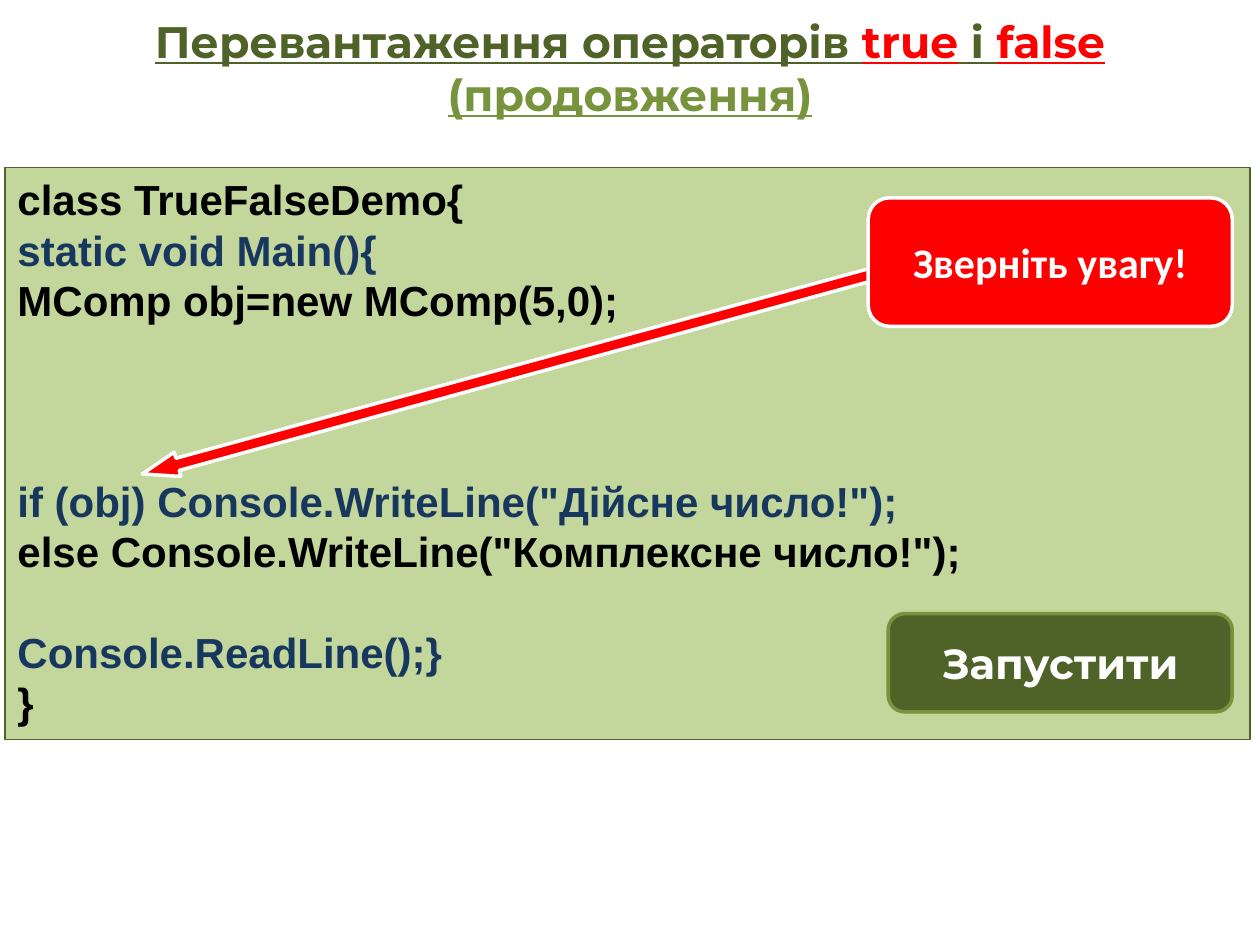
from dataclasses import dataclass

from pptx import Presentation
from pptx.dml.color import RGBColor
from pptx.enum.shapes import MSO_SHAPE
from pptx.enum.text import MSO_ANCHOR, PP_ALIGN
from pptx.util import Inches, Pt

RECTANGLE, ROUNDED = MSO_SHAPE.RECTANGLE, MSO_SHAPE.ROUNDED_RECTANGLE
LEFT_ARROW = MSO_SHAPE.LEFT_ARROW
TOP, MIDDLE = MSO_ANCHOR.TOP, MSO_ANCHOR.MIDDLE
LEFT, CENTER = PP_ALIGN.LEFT, PP_ALIGN.CENTER


@dataclass(frozen=True)
class Theme:
    dark_green: str = "4F6228"
    green: str = "77933C"
    pale_green: str = "C3D69B"
    red: str = "FF0000"
    white: str = "FFFFFF"
    black: str = "000000"
    navy: str = "17375E"
    heading_font: str = "Montserrat"
    code_font: str = "Arial"
    note_font: str = "Calibri"
    title_size: float = 25.2
    body_size: float = 24
    line_step: float = 28.7
    thin: float = 0.75
    thick: float = 2


theme = Theme()
deck = Presentation()
deck.slide_width, deck.slide_height = Inches(10), Inches(7.5)
page = deck.slides.add_slide(deck.slide_layouts[6])
# The grid has 100 columns and 75 rows of equal size
unit = deck.slide_width / 100


def add_block(kind, place, fill, line, weight):
    """Add a filled, outlined shape placed in grid units."""
    box = page.shapes.add_shape(kind, *(round(n * unit) for n in place))
    box.shadow.inherit = False
    box.fill.solid()
    box.fill.fore_color.rgb = RGBColor.from_string(fill)
    box.line.color.rgb = RGBColor.from_string(line)
    box.line.width = Pt(weight)
    return box


def add_span(para, text, font, size, color, underline=False):
    span = para.add_run()
    span.text = text
    span.font.name, span.font.size = font, Pt(size)
    span.font.bold, span.font.underline = True, underline
    span.font.color.rgb = RGBColor.from_string(color)


# Title
title = page.shapes.add_textbox(0, round(0.75 * unit), deck.slide_width, round(9.2 * unit))
title.text_frame.word_wrap = True
title.text_frame.vertical_anchor = MIDDLE
para = title.text_frame.paragraphs[0]
para.alignment = CENTER
for text, color in (
    ("Перевантаження операторів ", theme.dark_green),
    ("true", theme.red),
    (" і ", theme.dark_green),
    ("false ", theme.red),
    ("(продовження)", theme.green),
):
    add_span(para, text, theme.heading_font, theme.title_size, color, True)

# Code panel: each line with the number of empty lines above it
code = add_block(RECTANGLE, (0.4, 13.3, 98.8, 45.4), theme.pale_green, theme.dark_green, theme.thin)
frame = code.text_frame
frame.word_wrap = True
frame.vertical_anchor = TOP
code_lines = (
    ("class TrueFalseDemo{", 0),
    ("static void Main(){", 0),
    ("MComp obj=new MComp(5,0);", 0),
    ('if (obj) Console.WriteLine("Дiйсне число!");', 3),
    ('else Console.WriteLine("Комплексне число!");', 0),
    ("Console.ReadLine();}", 1),
    ("}", 0),
)
for index, (text, gap) in enumerate(code_lines):
    para = frame.add_paragraph() if index else frame.paragraphs[0]
    para.alignment = LEFT
    para.space_before = Pt(gap * theme.line_step)
    color = theme.navy if index % 2 else theme.black
    add_span(para, text, theme.code_font, theme.body_size, color)

# Arrow from the note to the condition
arrow = add_block(LEFT_ARROW, (10.1, 27.7, 67.6, 2), theme.red, theme.white, theme.thick)
arrow.rotation = 344.7
arrow.adjustments[0], arrow.adjustments[1] = 0.5, 1.45

# Run button and attention note
for text, place, fill, line, font in (
    ("Запустити", (70.5, 48.7, 27.3, 7.8), theme.dark_green, theme.green, theme.heading_font),
    ("Зверніть увагу!", (68.9, 15.7, 28.9, 10.2), theme.red, theme.white, theme.note_font),
):
    box = add_block(ROUNDED, place, fill, line, theme.thick)
    box.text_frame.word_wrap = True
    box.text_frame.vertical_anchor = MIDDLE
    para = box.text_frame.paragraphs[0]
    para.alignment = CENTER
    add_span(para, text, font, theme.body_size, theme.white)

deck.save("out.pptx")
